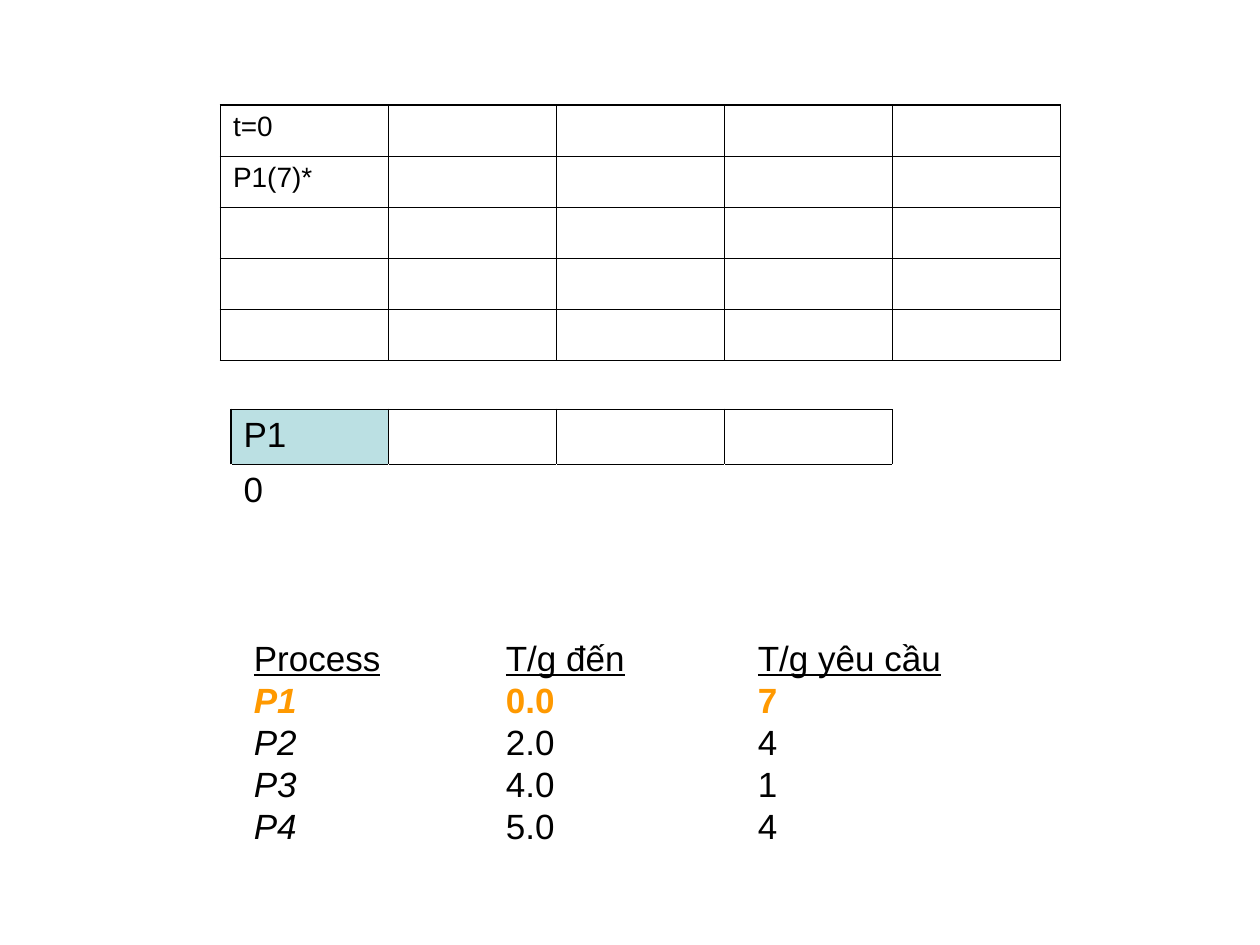
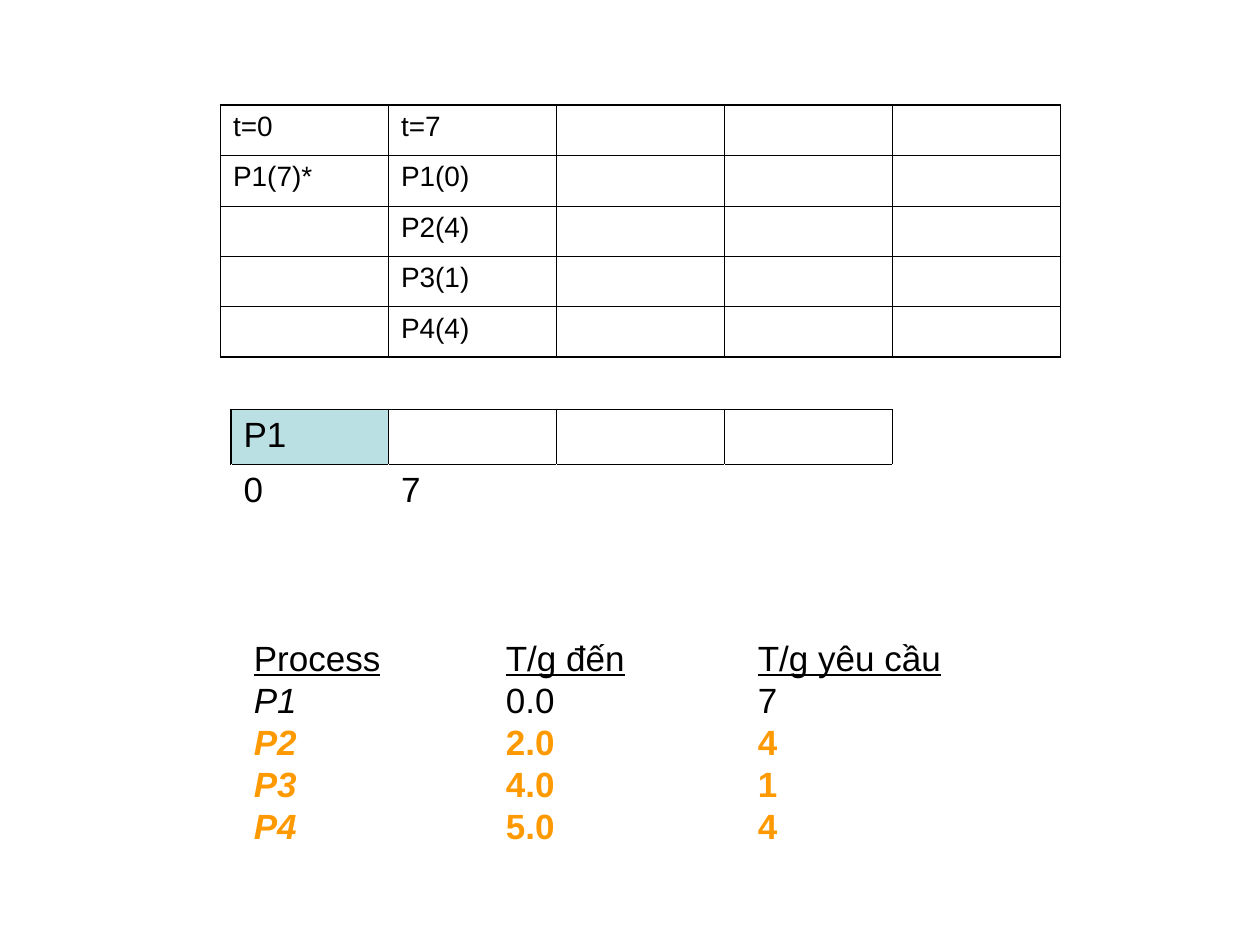
from lxml import etree
from pptx import Presentation
from pptx.dml.color import RGBColor
from pptx.enum.text import MSO_AUTO_SIZE
from pptx.oxml.ns import qn
from pptx.util import Inches, Pt

FIT_SHAPE = MSO_AUTO_SIZE.SHAPE_TO_FIT_TEXT
COLORS = {"ink": "000000", "paper": "FFFFFF", "running": "BBE0E3", "arrived": "FF9900"}
FONT = "Arial"
SLIDE_W, SLIDE_H = Inches(10), Inches(7.5)
UNIT = SLIDE_W // 120
THIN, THICK = 0.45, 1.08

QUEUE_BOX = (21, 10, 80, 24)
GANTT_BOX = (22, 39, 80, 10.4)
PROCESS_BOX = (23, 60, 78, 21.2)
QUEUE_COLUMNS = [16] * 5
GANTT_COLUMNS = [15, 16, 16, 16, 17]
TAB_STOPS = (24, 48)

HEADINGS = ("Process", "T/g đến", "T/g yêu cầu")
PROCESSES = (("P1", "0.0", "7"), ("P2", "2.0", "4"), ("P3", "4.0", "1"), ("P4", "5.0", "4"))

STEPS = (
    {"queue": [["t=0", "P1(7)*"]], "times": ["0"], "arrived": {"P1"}},
    {
        "queue": [["t=0", "P1(7)*"], ["t=7", "P1(0)", "P2(4)", "P3(1)", "P4(4)"]],
        "times": ["0", "7"],
        "arrived": {"P2", "P3", "P4"},
    },
)


def units(*lengths):
    return [round(length * UNIT) for length in lengths]


def put_text(paragraph, text, size=20, color="ink", bold=False, italic=False, underline=False):
    run = paragraph.add_run()
    run.text = text
    font = run.font
    font.name, font.size = FONT, Pt(size)
    font.bold, font.italic, font.underline = bold, italic, underline
    font.color.rgb = RGBColor.from_string(COLORS[color])


def set_border(cell, side, color, width):
    line = etree.SubElement(cell._tc.get_or_add_tcPr(), qn(f"a:ln{side}"), w=str(Pt(width)))
    fill = etree.SubElement(line, qn("a:solidFill"))
    etree.SubElement(fill, qn("a:srgbClr"), val=COLORS[color])


def style_cell(cell, borders, fill=None):
    for side in "LRTB":
        set_border(cell, side, *borders[side])
    if fill:
        cell.fill.solid()
        cell.fill.fore_color.rgb = RGBColor.from_string(COLORS[fill])
    else:
        cell.fill.background()


def add_grid(slide, box, columns, row_count):
    table = slide.shapes.add_table(row_count, len(columns), *units(*box)).table
    table.first_row = table.horz_banding = False
    for column, width in zip(table.columns, units(*columns)):
        column.width = width
    for row in table.rows:
        row.height = units(box[3] / row_count)[0]
    return table


def draw_queue(slide, box, moments):
    last = len(QUEUE_COLUMNS) - 1
    queue = add_grid(slide, box, QUEUE_COLUMNS, last + 1)
    for r in range(last + 1):
        for c in range(last + 1):
            outer = {"L": c == 0, "R": c == last, "T": r == 0, "B": r == last}
            style_cell(queue.cell(r, c), {
                side: ("ink", THICK if edge else THIN) for side, edge in outer.items()})
    for c, moment in enumerate(moments):
        for r, entry in enumerate(moment):
            put_text(queue.cell(r, c).text_frame.paragraphs[0], entry, size=16)


def draw_gantt(slide, box, times):
    gantt = add_grid(slide, box, GANTT_COLUMNS, 2)
    last = len(GANTT_COLUMNS) - 1
    blank = {side: ("paper", THIN) for side in "LRTB"}
    for c in range(last + 1):
        if c < last:
            bar = {side: ("ink", THIN) for side in "RB"}
            bar |= {"L": ("ink", THIN if c else THICK), "T": ("ink", THICK)}
            scale = blank | {"T": ("ink", THIN)}
        else:
            bar, scale = blank | {"L": ("ink", THIN)}, blank
        style_cell(gantt.cell(0, c), bar, None if c else "running")
        style_cell(gantt.cell(1, c), scale)
    put_text(gantt.cell(0, 0).text_frame.paragraphs[0], "P1")
    for c, time in enumerate(times):
        put_text(gantt.cell(1, c).text_frame.paragraphs[0], time)


def set_tabs(paragraph):
    tabs = etree.SubElement(paragraph._p.get_or_add_pPr(), qn("a:tabLst"))
    for stop in units(*TAB_STOPS):
        etree.SubElement(tabs, qn("a:tab"), pos=str(stop), algn="l")


def draw_processes(slide, box, arrived):
    frame = slide.shapes.add_textbox(*units(*box)).text_frame
    frame.word_wrap = True
    frame.auto_size = FIT_SHAPE
    header = frame.paragraphs[0]
    set_tabs(header)
    for i, heading in enumerate(HEADINGS):
        if i:
            put_text(header, "\t")
        put_text(header, heading, underline=True)
    for name, arrival, burst in PROCESSES:
        line = frame.add_paragraph()
        set_tabs(line)
        marked = name in arrived
        emphasis = {"color": "arrived" if marked else "ink", "bold": marked}
        put_text(line, f"{name}\t", italic=True, **emphasis)
        put_text(line, f"{arrival}\t{burst}", **emphasis)


def draw_step(deck, step):
    slide = deck.slides.add_slide(deck.slide_layouts[6])
    draw_queue(slide, QUEUE_BOX, step["queue"])
    draw_gantt(slide, GANTT_BOX, step["times"])
    draw_processes(slide, PROCESS_BOX, step["arrived"])


def main():
    deck = Presentation()
    deck.slide_width, deck.slide_height = SLIDE_W, SLIDE_H
    for step in STEPS:
        draw_step(deck, step)
    deck.save("out.pptx")


if __name__ == "__main__":
    main()
